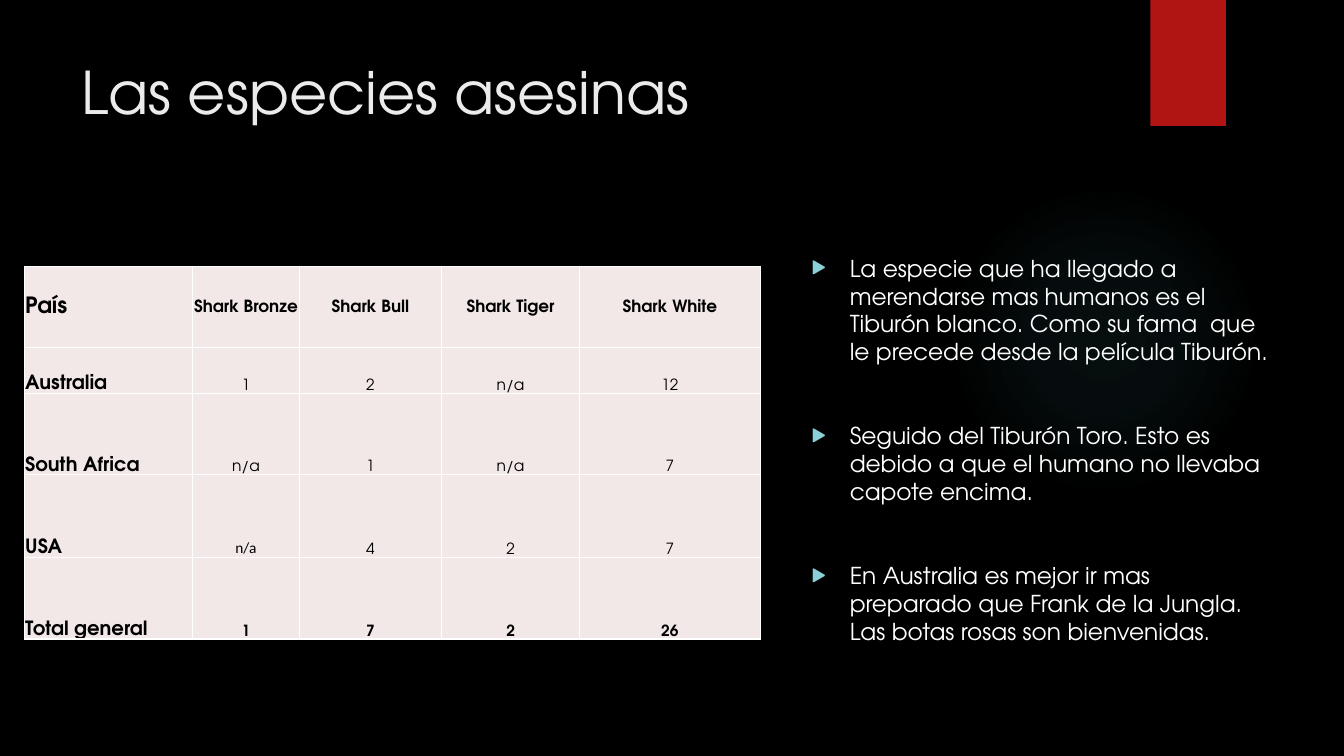
from pptx import Presentation
from pptx import util as u
from pptx.dml.color import RGBColor
from pptx.enum import shapes, text
from pptx.oxml import parse_xml
from pptx.oxml.ns import nsdecls

BLACK = RGBColor(0x00, 0x00, 0x00)
WHITE = RGBColor(0xFF, 0xFF, 0xFF)
TITLE_GRAY = RGBColor(0xEB, 0xEB, 0xEB)
RED = RGBColor(0xB0, 0x15, 0x13)
TEAL = RGBColor(0x50, 0xB9, 0xC1)
BULLET_TEAL = RGBColor(0x8A, 0xD0, 0xD6)
CELL_PINK = RGBColor(0xF2, 0xE8, 0xE7)

COLUMN_WIDTHS = [1.67, 1.06, 1.41, 1.37, 1.79]
ROW_HEIGHTS = [0.81, 0.45, 0.81, 0.82, 0.81]
ATTACKS = [
    ["País", "Shark Bronze", "Shark Bull", "Shark Tiger", "Shark White"],
    ["Australia", "1", "2", "n/a", "12"],
    ["South Africa", "n/a", "1", "n/a", "7"],
    ["USA", "n/a", "4", "2", "7"],
    ["Total general", "1", "7", "2", "26"],
]
COMMENTS = [
    "La especie que ha llegado a merendarse mas humanos es el Tiburón blanco. "
    "Como su fama  que le precede desde la película Tiburón.",
    "Seguido del Tiburón Toro. Esto es debido a que el humano no llevaba capote encima.",
    "En Australia es mejor ir mas preparado que Frank de la Jungla. "
    "Las botas rosas son bienvenidas.",
]


def apply(target, values):
    for name, value in values.items():
        setattr(target, name, value)


class SlideBuilder:
    font = "TeX Gyre Adventor"

    def __init__(self, presentation):
        self.slide = presentation.slides.add_slide(presentation.slide_layouts[6])
        background = self.slide.background.fill
        background.solid()
        background.fore_color.rgb = BLACK

    def add_words(self, paragraph, words, color, **values):
        run = paragraph.add_run()
        run.text = words
        apply(run.font, {"name": self.font, **values})
        run.font.color.rgb = color

    def add_shape(self, kind, box, color):
        shape = self.slide.shapes.add_shape(kind, *map(u.Inches, box))
        shape.shadow.inherit = False
        shape.line.fill.background()
        shape.fill.solid()
        shape.fill.fore_color.rgb = color
        return shape

    def add_glow(self, box, color, stops):
        shape = self.add_shape(shapes.MSO_SHAPE.OVAL, box, color)
        stop_xml = "".join(
            f'<a:gs pos="{position * 1000}"><a:srgbClr val="{color}">'
            f'<a:alpha val="{alpha * 1000}"/></a:srgbClr></a:gs>'
            for position, alpha in stops
        )
        gradient = parse_xml(
            f'<a:gradFill {nsdecls("a")} rotWithShape="1"><a:gsLst>{stop_xml}</a:gsLst>'
            '<a:path path="circle"><a:fillToRect l="50000" t="50000" r="50000" b="50000"/>'
            '</a:path></a:gradFill>'
        )
        properties = shape.element.spPr
        properties.replace(properties.find("{*}solidFill"), gradient)

    def add_text(self, box, paragraphs, color, size, gap=0, bullets=False):
        frame = self.slide.shapes.add_textbox(*map(u.Inches, box)).text_frame
        apply(frame, {"word_wrap": True, "vertical_anchor": text.MSO_ANCHOR.TOP})
        for index, words in enumerate(paragraphs):
            paragraph = frame.add_paragraph() if index else frame.paragraphs[0]
            paragraph.space_before = u.Pt(gap if index else 0)
            self.add_words(paragraph, words, color, size=u.Pt(size))
            if bullets:
                self.add_bullet(paragraph)

    def add_bullet(self, paragraph):
        properties = paragraph._p.get_or_add_pPr()
        properties.set("marL", str(u.Inches(0.38)))
        properties.set("indent", str(-u.Inches(0.38)))
        for content in (
            f'<a:buClr {nsdecls("a")}><a:srgbClr val="{BULLET_TEAL}"/></a:buClr>',
            f'<a:buSzPct {nsdecls("a")} val="80000"/>',
            f'<a:buFont {nsdecls("a")} typeface="{self.font}"/>',
            f'<a:buChar {nsdecls("a")} char="▶"/>',
        ):
            properties.append(parse_xml(content))

    def add_table(self, box, rows, widths, heights):
        frame = self.slide.shapes.add_table(len(rows), len(widths), *map(u.Inches, box))
        table = frame.table
        apply(table, {"first_row": False, "horz_banding": False})
        for column, width in zip(table.columns, widths):
            column.width = u.Inches(width)
        for row, height in zip(table.rows, heights):
            row.height = u.Inches(height)
        for row_index, row in enumerate(rows):
            for column_index, words in enumerate(row):
                self.fill_cell(table.cell(row_index, column_index), words,
                               row_index, column_index, len(rows) - 1)

    def fill_cell(self, cell, words, row, column, last_row):
        is_header, is_label = row == 0, column == 0
        anchor = text.MSO_ANCHOR.MIDDLE if is_header else text.MSO_ANCHOR.BOTTOM
        edge = u.Inches(0.01)
        apply(cell, {"vertical_anchor": anchor, "margin_left": edge, "margin_top": edge,
                     "margin_right": edge, "margin_bottom": 0})
        cell.fill.solid()
        cell.fill.fore_color.rgb = CELL_PINK
        self.add_borders(cell)
        paragraph = cell.text_frame.paragraphs[0]
        paragraph.alignment = text.PP_ALIGN.LEFT if is_label else text.PP_ALIGN.CENTER
        label_size, value_size = (16, 12) if is_header else (14, 11)
        values = {"size": u.Pt(label_size if is_label else value_size),
                  "bold": is_label or row in (0, last_row)}
        if (row, column) == (3, 1):
            values["name"] = "Calibri"
        self.add_words(paragraph, words, BLACK, **values)

    def add_borders(self, cell):
        properties = cell._tc.get_or_add_tcPr()
        for index, side in enumerate("LRTB"):
            properties.insert(index, parse_xml(
                f'<a:ln{side} {nsdecls("a")} w="{u.Pt(1)}"><a:solidFill>'
                f'<a:srgbClr val="{WHITE}"/></a:solidFill></a:ln{side}>'
            ))


def main():
    presentation = Presentation()
    apply(presentation, {"slide_width": u.Inches(13.33), "slide_height": u.Inches(7.5)})
    builder = SlideBuilder(presentation)
    builder.add_glow((9.41, 1.83, 3.08, 3.08), TEAL, [(0, 7), (36, 6), (69, 0)])
    builder.add_shape(shapes.MSO_SHAPE.RECTANGLE, (11.41, 0, 0.75, 1.25), RED)
    builder.add_text((0.71, 0.5, 10.29, 1.53), ["Las especies asesinas"], TITLE_GRAY, 42)
    builder.add_text((7.95, 2.47, 4.81, 4.09), COMMENTS, WHITE, 16.6, gap=40, bullets=True)
    builder.add_table((0.24, 2.64, 7.31, 3.69), ATTACKS, COLUMN_WIDTHS, ROW_HEIGHTS)
    presentation.save("out.pptx")


if __name__ == "__main__":
    main()
